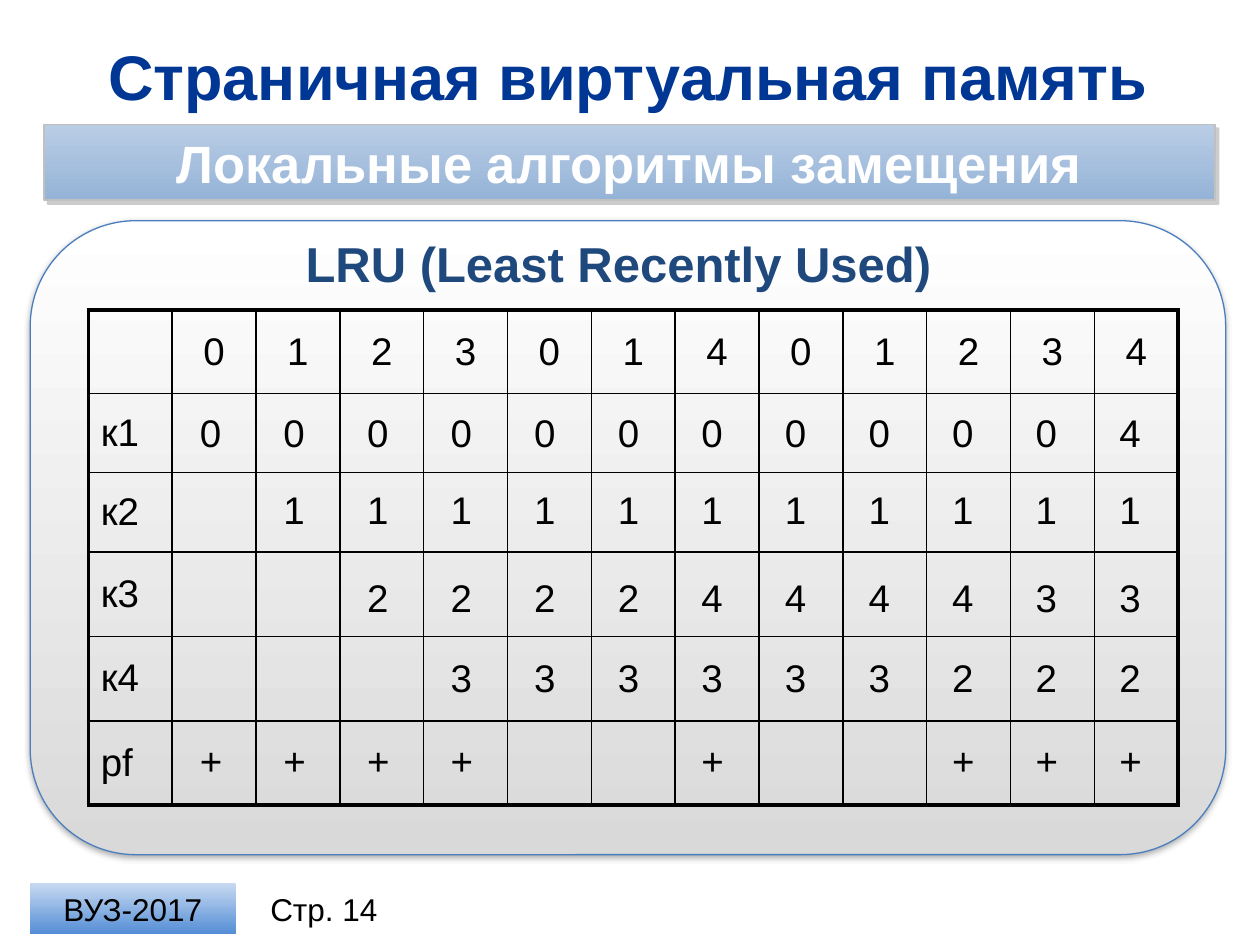
from lxml import etree
from pptx import Presentation
from pptx.dml.color import RGBColor
from pptx.enum.shapes import MSO_SHAPE
from pptx.enum.text import MSO_ANCHOR, PP_ALIGN
from pptx.oxml.ns import qn
from pptx.util import Cm, Pt

RECT, ROUND_RECT = MSO_SHAPE.RECTANGLE, MSO_SHAPE.ROUNDED_RECTANGLE
TOP, MIDDLE = MSO_ANCHOR.TOP, MSO_ANCHOR.MIDDLE
LEFT, CENTER = PP_ALIGN.LEFT, PP_ALIGN.CENTER

BLACK = RGBColor(0x00, 0x00, 0x00)
WHITE = RGBColor(0xFF, 0xFF, 0xFF)
TITLE_BLUE = RGBColor(0x00, 0x37, 0x94)
HEADING_BLUE = RGBColor(0x1F, 0x49, 0x7D)
PANEL_LINE = RGBColor(0x4B, 0x7E, 0xBC)
PANEL_GREY = RGBColor(0xD9, 0xD9, 0xD9)
BANNER_LIGHT = RGBColor(0xB9, 0xCD, 0xE5)
BANNER_DARK = RGBColor(0x95, 0xB3, 0xD7)
BANNER_LINE = RGBColor(0xC0, 0xC0, 0xC0)
SHADOW_GREY = RGBColor(0x80, 0x80, 0x80)
BADGE_LIGHT = RGBColor(0xC6, 0xD9, 0xF1)
BADGE_DARK = RGBColor(0x55, 0x8E, 0xD5)

FONT = "Arial"
THIN, THICK = Pt(1), Pt(2.25)

REQUESTS = "012301401234"
# Frame contents, one character for each request
FRAMES = {
    "к1": "000000000004",
    "к2": " 11111111111",
    "к3": "  2222444433",
    "к4": "   333333222",
    "pf": "++++  +  +++",
}
ROW_HEIGHTS = [1.68, 1.6, 1.6, 1.7, 1.7, 1.7]
COLUMN_WIDTH = 1.69


def write(frame, text, size, color=BLACK, bold=False, align=LEFT, anchor=TOP):
    frame.word_wrap = True
    frame.vertical_anchor = anchor
    para = frame.paragraphs[0]
    para.alignment = align
    span = para.add_run()
    span.text = text
    span.font.name = FONT
    span.font.size = Pt(size)
    span.font.bold = bold
    span.font.color.rgb = color
    return para


def add_text(page, box, text, size, **style):
    frame = page.shapes.add_textbox(*map(Cm, box)).text_frame
    write(frame, text, size, **style)
    return frame


def add_gradient_shape(page, kind, box, colors, line=None, line_width=1):
    shape = page.shapes.add_shape(kind, *map(Cm, box))
    shape.shadow.inherit = False
    shape.fill.gradient()
    shape.fill.gradient_angle = 270
    for stop, color in zip(shape.fill.gradient_stops, colors):
        stop.color.rgb = color
    if line is None:
        shape.line.fill.background()
    else:
        shape.line.color.rgb = line
        shape.line.width = Pt(line_width)
    return shape


def add_shadow(shape, color, opacity, blur, distance, angle):
    effects = shape._element.spPr.find(qn("a:effectLst"))
    shadow = etree.SubElement(
        effects, qn("a:outerShdw"), blurRad=str(Pt(blur)), dist=str(Pt(distance)),
        dir=str(angle * 60000), algn="tl", rotWithShape="0")
    tint = etree.SubElement(shadow, qn("a:srgbClr"), val=str(color))
    etree.SubElement(tint, qn("a:alpha"), val=str(opacity * 1000))


def set_borders(cell, widths):
    properties = cell._tc.get_or_add_tcPr()
    for side, width in zip("LRTB", widths):
        line = etree.SubElement(properties, qn(f"a:ln{side}"), w=str(width))
        fill = etree.SubElement(line, qn("a:solidFill"))
        etree.SubElement(fill, qn("a:srgbClr"), val=str(BLACK))


def add_header(page, box):
    left, top, width = box
    add_text(page, (left, top, width, 1.73), "Страничная виртуальная память", 36,
             color=TITLE_BLUE, bold=True, align=CENTER, anchor=MIDDLE)
    banner = add_gradient_shape(
        page, RECT, (left + 0.28, top + 1.85, width - 0.5, 1.53),
        (BANNER_LIGHT, BANNER_DARK), BANNER_LINE)
    add_shadow(banner, SHADOW_GREY, 40, 0, 3, 45)
    write(banner.text_frame, "Локальные алгоритмы замещения", 30,
          color=WHITE, bold=True, align=CENTER, anchor=MIDDLE)


def add_frame_table(page, left, top):
    rows, columns = len(ROW_HEIGHTS), len(REQUESTS) + 1
    table = page.shapes.add_table(
        rows, columns, Cm(left), Cm(top),
        Cm(columns * COLUMN_WIDTH), Cm(sum(ROW_HEIGHTS))).table
    table.first_row = table.horz_banding = False
    for column in table.columns:
        column.width = Cm(COLUMN_WIDTH)
    for row, height in zip(table.rows, ROW_HEIGHTS):
        row.height = Cm(height)

    labels = ["", *FRAMES]
    for r in range(rows):
        for c in range(columns):
            cell = table.cell(r, c)
            edges = (c == 0, c == columns - 1, r == 0, r == rows - 1)
            set_borders(cell, [THICK if edge else THIN for edge in edges])
            cell.fill.background()
            cell.vertical_anchor = MIDDLE
            text = labels[r] if c == 0 else REQUESTS[c - 1] if r == 0 else ""
            if text:
                write(cell.text_frame, text, 22, anchor=MIDDLE,
                      align=LEFT if c == 0 else CENTER)


def add_frame_values(page, left, top):
    # Each value lies over its table cell
    row_offsets = [1.87, 3.42, 5.2, 6.8, 8.48]
    for values, offset in zip(FRAMES.values(), row_offsets):
        for index, value in enumerate(values):
            if value != " ":
                box = (left + 2 + index * 1.685, top + offset, 1.02, 1.2)
                add_text(page, box, value, 22)


def add_panel(page, box):
    left, top, width, height = box
    panel = add_gradient_shape(page, ROUND_RECT, box, (WHITE, PANEL_GREY),
                               PANEL_LINE, 0.75)
    add_shadow(panel, BLACK, 35, 3.1, 1.8, 90)
    heading = add_text(page, (left + 0.89, top + 0.13, width - 1.62, 1.45),
                       "LRU (Least Recently Used)", 28,
                       color=HEADING_BLUE, bold=True, align=CENTER)
    heading.margin_right = Cm(0.8)
    heading.paragraphs[0].space_after = Pt(6)
    add_frame_table(page, left + 1.17, top + 1.8)
    add_frame_values(page, left + 1.17, top + 1.8)


def add_footer(page, box):
    left, top, height = box
    badge = add_gradient_shape(page, RECT, (left, top, 4.14, height),
                               (BADGE_LIGHT, BADGE_DARK))
    write(badge.text_frame, "ВУЗ-2017", 18, align=CENTER, anchor=MIDDLE)
    number = add_text(page, (left + 4.55, top, 2.74, height), "Стр. 14", 18,
                      align=CENTER, anchor=MIDDLE)
    number.margin_left = number.margin_right = 0


deck = Presentation()
deck.slide_width, deck.slide_height = Cm(25.4), Cm(19.05)
page = deck.slides.add_slide(deck.slide_layouts[6])
add_panel(page, (0.61, 4.45, 24.1, 12.78))
add_header(page, (0.61, 0.66, 24.1))
add_footer(page, (0.61, 17.81, 1.02))
deck.save("out.pptx")
